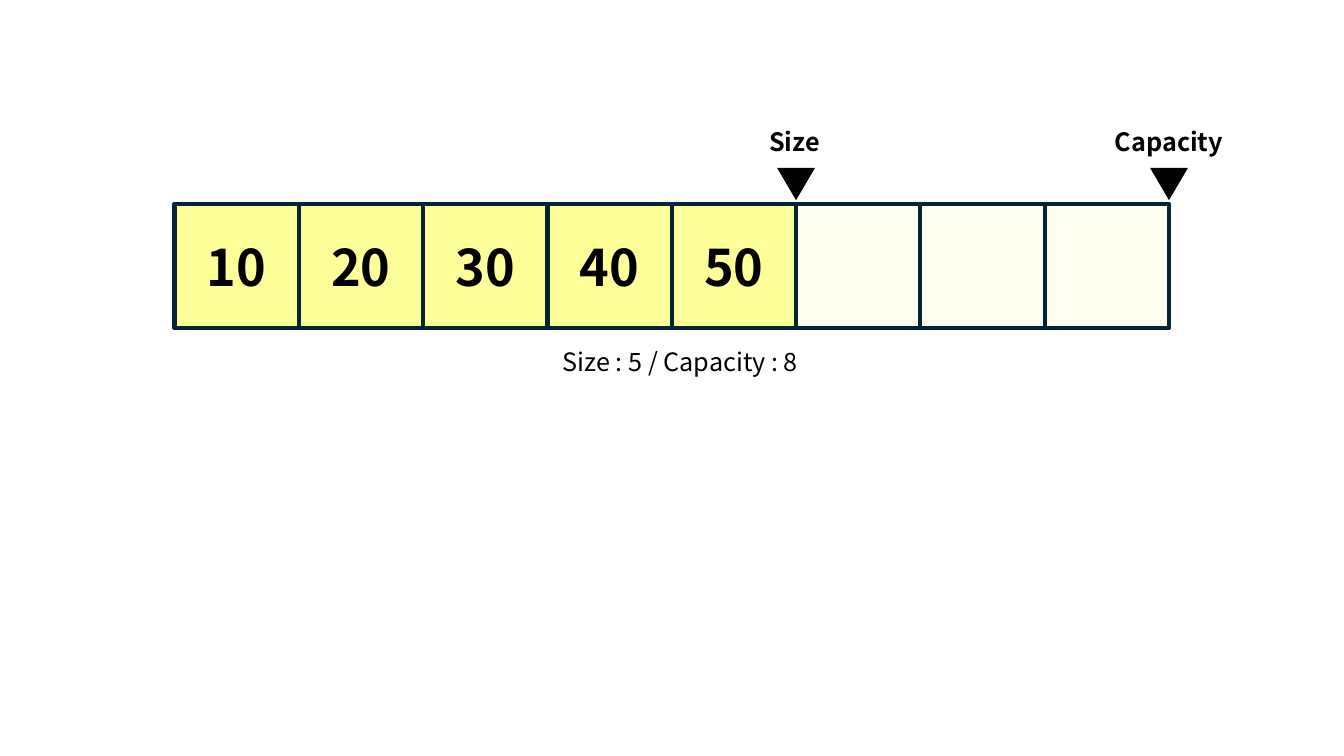
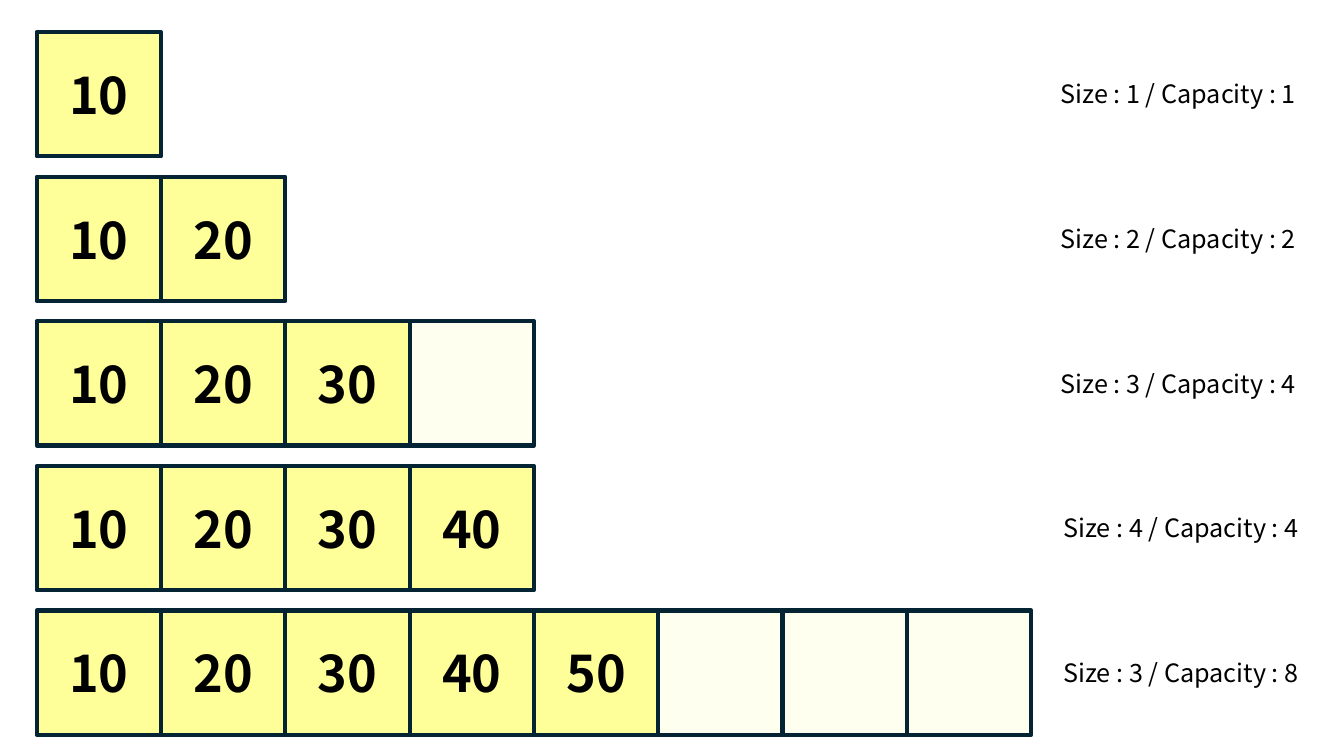
from pptx import Presentation
from pptx.dml.color import RGBColor
from pptx.enum.shapes import MSO_SHAPE
from pptx.enum.text import MSO_ANCHOR, MSO_AUTO_SIZE, PP_ALIGN
from pptx.util import Pt

BOX, MARK = MSO_SHAPE.RECTANGLE, MSO_SHAPE.FLOWCHART_MERGE
MIDDLE, CENTER = MSO_ANCHOR.MIDDLE, PP_ALIGN.CENTER
GROW = MSO_AUTO_SIZE.SHAPE_TO_FIT_TEXT

# Shared style
INK, EDGE, FULL, FREE = "000000", "042433", "FFFF99", "FFFFF0"
FONT = "Noto Sans CJK KR"
NUMBER = {"name": FONT, "size": Pt(36), "bold": True}
NOTE = {"name": FONT, "size": Pt(18), "bold": False}
LABEL = {**NOTE, "bold": True}
CELL, TALL = 88.8, 29


def paint(shape, fill, edge=None):
    shape.shadow.inherit = False
    shape.fill.solid()
    shape.fill.fore_color.rgb = RGBColor.from_string(fill)
    if edge:
        shape.line.color.rgb = RGBColor.from_string(edge)
        shape.line.width = Pt(3)
    else:
        shape.line.fill.background()


def write(shape, text, style):
    frame = shape.text_frame
    frame.word_wrap = True
    line = frame.paragraphs[0]
    line.alignment = CENTER
    run = line.add_run()
    run.text = text
    for key, value in style.items():
        setattr(run.font, key, value)
    run.font.color.rgb = RGBColor.from_string(INK)


deck = Presentation()
deck.slide_width, deck.slide_height = Pt(960), Pt(540)
blank = deck.slide_layouts[6]
array, growth = [deck.slides.add_slide(blank) for _ in range(2)]

# Rows: slide, left, top, cells in use, cells in all
LEFT, TOP = 124.6, 145.6
rows = [(array, LEFT, TOP, 5, 8)]
steps = [(1, 1), (2, 2), (3, 4), (4, 4), (5, 8)]
rows += [(growth, 26.2, 22.9 + 103.3 * i, used, room)
         for i, (used, room) in enumerate(steps)]

for page, left, top, used, room in rows:
    group = page.shapes.add_group_shape()
    for i in range(room):
        cell = group.shapes.add_shape(
            BOX, Pt(left + CELL * i), Pt(top), Pt(CELL), Pt(CELL))
        paint(cell, FULL if i < used else FREE, EDGE)
        cell.text_frame.vertical_anchor = MIDDLE
        if i < used:
            write(cell, str(10 * (i + 1)), NUMBER)

# Markers above the array
for at in (5, 8):
    mark = array.shapes.add_shape(
        MARK, Pt(LEFT + CELL * at - 13.5), Pt(120), Pt(27), Pt(23))
    paint(mark, INK)

# Texts: slide, left, top, width, wording, style
texts = [
    (array, 169, 244, 634, "Size : 5 / Capacity : 8", NOTE),
    (array, 539, 86.4, 57, "Size", LABEL),
    (array, 775, 86.4, 120, "Capacity", LABEL),
]
notes = [
    (740, "Size : 1 / Capacity : 1"),
    (740, "Size : 2 / Capacity : 2"),
    (740, "Size : 3 / Capacity : 4"),
    (742, "Size : 4 / Capacity : 4"),
    (742, "Size : 3 / Capacity : 8"),
]
texts += [(growth, left, 52.7 + 103.3 * i, 203, text, NOTE)
          for i, (left, text) in enumerate(notes)]

for page, left, top, wide, text, style in texts:
    box = page.shapes.add_textbox(Pt(left), Pt(top), Pt(wide), Pt(TALL))
    write(box, text, style)
    box.text_frame.auto_size = GROW

deck.save("out.pptx")
